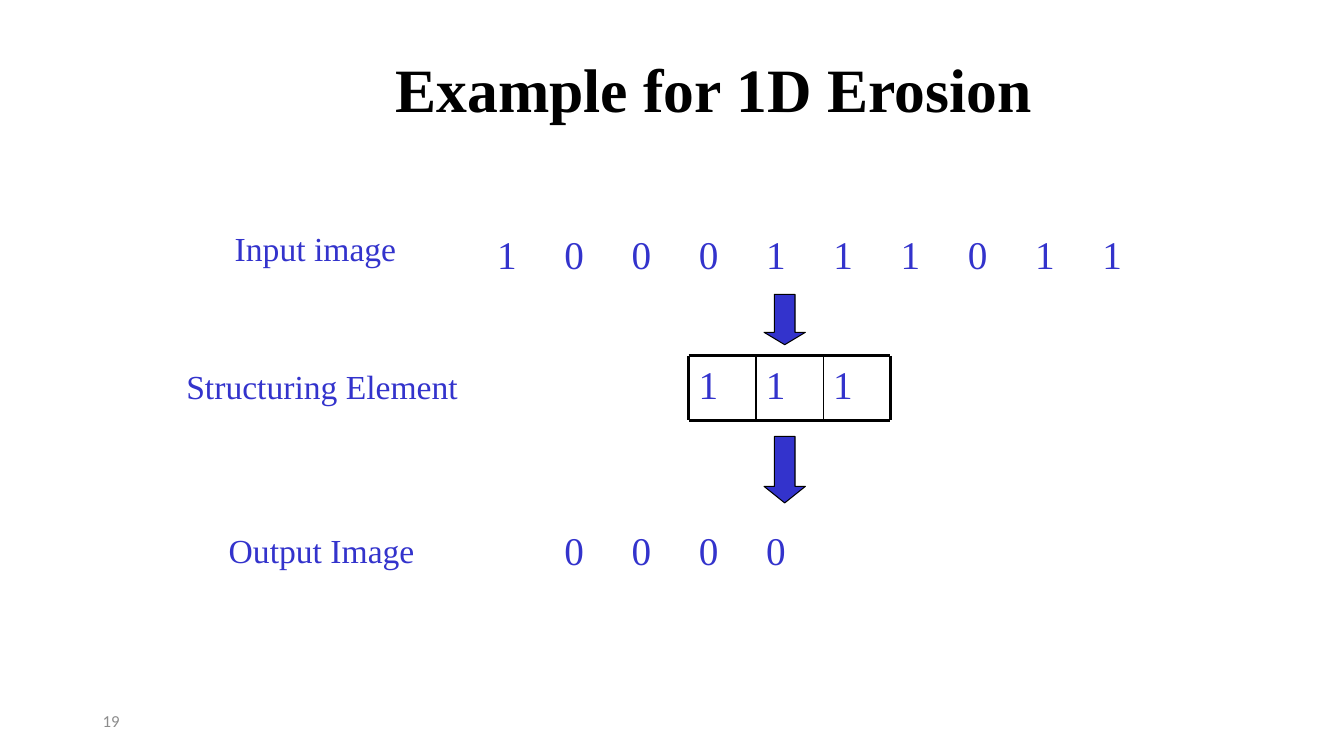
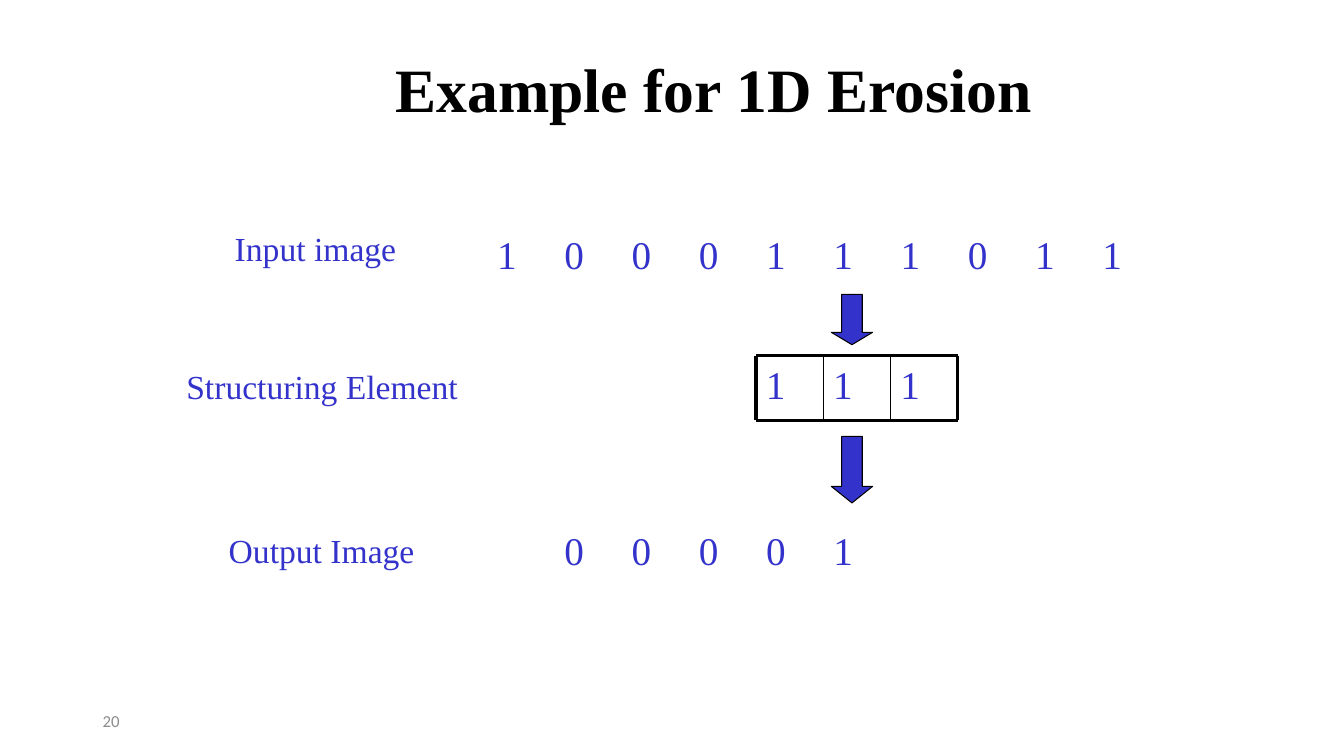
from pptx import Presentation
from pptx.dml.color import RGBColor
from pptx.enum.shapes import MSO_CONNECTOR, MSO_SHAPE
from pptx.enum.text import MSO_ANCHOR, MSO_AUTO_SIZE, PP_ALIGN
from pptx.oxml.ns import qn
from pptx.util import Inches, Pt
from lxml.etree import SubElement

TITLE = "Example for 1D Erosion"
LABELS = [  # text, left, top, width
    ("Input image", 2.23, 2.21, 1.8),
    ("Structuring Element", 1.75, 3.58, 2.9),
    ("Output Image", 2.17, 5.21, 2.04),
]
INPUT_BITS = "1000111011"
ELEMENT_BITS = "111"
STEPS = [  # the output starts in column 1, the element in column "start"
    {"number": "19", "start": 3, "output": "0000"},
    {"number": "20", "start": 4, "output": "00001"},
]

COLORS = {"blue": "3333CC", "black": "000000", "white": "FFFFFF", "gray": "8C8C8C"}
SERIF = "Times New Roman"
FONTS = {
    "title": ({"name": SERIF, "size": Pt(44), "bold": True}, "black"),
    "label": ({"name": SERIF, "size": Pt(24)}, "blue"),
    "bit": ({"name": SERIF, "size": Pt(28)}, "blue"),
    "number": ({"name": "Calibri", "size": Pt(12)}, "gray"),
}

GRID_LEFT, GRID_WIDTH, ROW_HEIGHT = Inches(4.83), Inches(6.67), Inches(0.58)
CELL = GRID_WIDTH // len(INPUT_BITS)
INPUT_TOP, OUTPUT_TOP = Inches(2.25), Inches(5.18)
ELEMENT_TOP, ELEMENT_HEIGHT = Inches(3.53), Inches(0.64)
ARROW_INSET, ARROW_WIDTH = Inches(0.08), Inches(0.41)
ARROWS = [(4.33, 0.66, 0.4), (2.92, 0.5, 0.3)]  # top, height, head ratio
BIT_SPACING = Pt(7)


def color(key):
    return RGBColor.from_string(COLORS[key])


def write(frame, text, style):
    frame.text = text
    paragraph = frame.paragraphs[0]
    font = paragraph.runs[0].font
    values, color_key = FONTS[style]
    for name, value in values.items():
        setattr(font, name, value)
    font.color.rgb = color(color_key)
    return paragraph


def paint(shape, fill, line):
    shape.shadow.inherit = False
    shape.fill.solid()
    shape.fill.fore_color.rgb = color(fill)
    shape.line.color.rgb = color(line)
    shape.line.width = Pt(0.75)


def add_bit_row(slide, top, bits):
    """Add a one-row table; a space in bits leaves its cell empty."""
    table = slide.shapes.add_table(
        1, len(bits), GRID_LEFT, top, GRID_WIDTH, ROW_HEIGHT).table
    table.first_row = table.horz_banding = False
    for column, cell, bit in zip(table.columns, table.rows[0].cells, bits):
        column.width = CELL
        cell.fill.background()
        cell.margin_top = Inches(0.13)
        if bit != " ":
            paragraph = write(cell.text_frame, bit, "bit")
            paragraph.line_spacing = 0.86
            paragraph.space_before = BIT_SPACING


def add_rule(shapes, x1, y1, x2, y2, width):
    rule = shapes.add_connector(MSO_CONNECTOR.STRAIGHT, x1, y1, x2, y2)
    rule.line.color.rgb = color("black")
    rule.line.width = Pt(width)
    SubElement(rule._element.spPr, qn("a:effectLst"))


def add_element(slide, left):
    """Add the structuring element as a group of ruled boxes."""
    shapes = slide.shapes.add_group_shape().shapes
    edges = [left + i * CELL for i in range(len(ELEMENT_BITS) + 1)]
    bottom = ELEMENT_TOP + ELEMENT_HEIGHT
    for bit, edge in zip(ELEMENT_BITS, edges):
        box = shapes.add_textbox(edge, ELEMENT_TOP, CELL, ELEMENT_HEIGHT)
        box.text_frame.word_wrap = True
        write(box.text_frame, bit, "bit").space_before = BIT_SPACING
    for y in (ELEMENT_TOP, bottom):
        add_rule(shapes, edges[0], y, edges[-1], y, 2.25)
    for edge in edges:
        outer = edge in (edges[0], edges[-1])
        add_rule(shapes, edge, ELEMENT_TOP, edge, bottom, 2.25 if outer else 1)


def add_arrows(slide, left):
    for top, height, head in ARROWS:
        arrow = slide.shapes.add_shape(
            MSO_SHAPE.DOWN_ARROW, left, Inches(top), ARROW_WIDTH, Inches(height))
        arrow.adjustments[0], arrow.adjustments[1] = 0.5, head
        paint(arrow, "blue", "black")


def add_frame(slide, number):
    """Add the title, the slide number and the white footer band."""
    write(slide.shapes.title.text_frame, TITLE, "title").alignment = PP_ALIGN.CENTER
    box = slide.shapes.add_textbox(Inches(0.92), Inches(6.95), Inches(3), Inches(0.4))
    box.text_frame.word_wrap = True
    box.text_frame.vertical_anchor = MSO_ANCHOR.MIDDLE
    write(box.text_frame, number, "number")
    band = slide.shapes.add_shape(
        MSO_SHAPE.RECTANGLE, Inches(1.67), Inches(7.17), Inches(10), Inches(0.33))
    paint(band, "white", "white")


def add_step(prs, layout, step):
    slide = prs.slides.add_slide(layout)
    add_frame(slide, step["number"])
    for text, left, top, width in LABELS:
        label = slide.shapes.add_textbox(
            Inches(left), Inches(top), Inches(width), Inches(0.5))
        label.text_frame.word_wrap = False
        label.text_frame.auto_size = MSO_AUTO_SIZE.SHAPE_TO_FIT_TEXT
        write(label.text_frame, text, "label")
    add_bit_row(slide, INPUT_TOP, INPUT_BITS)
    add_bit_row(slide, OUTPUT_TOP, f" {step['output']}".ljust(len(INPUT_BITS)))
    element_left = GRID_LEFT + step["start"] * CELL
    add_element(slide, element_left)
    add_arrows(slide, element_left + CELL + ARROW_INSET)


def main():
    prs = Presentation()
    prs.slide_width, prs.slide_height = Inches(13.33), Inches(7.5)
    layout = prs.slide_layouts.get_by_name("Title Only")
    title = layout.placeholders[0]
    title.left, title.top = Inches(2.83), Inches(0.25)
    title.width, title.height = Inches(8.5), Inches(1.25)
    for step in STEPS:
        add_step(prs, layout, step)
    prs.save("out.pptx")


if __name__ == "__main__":
    main()
